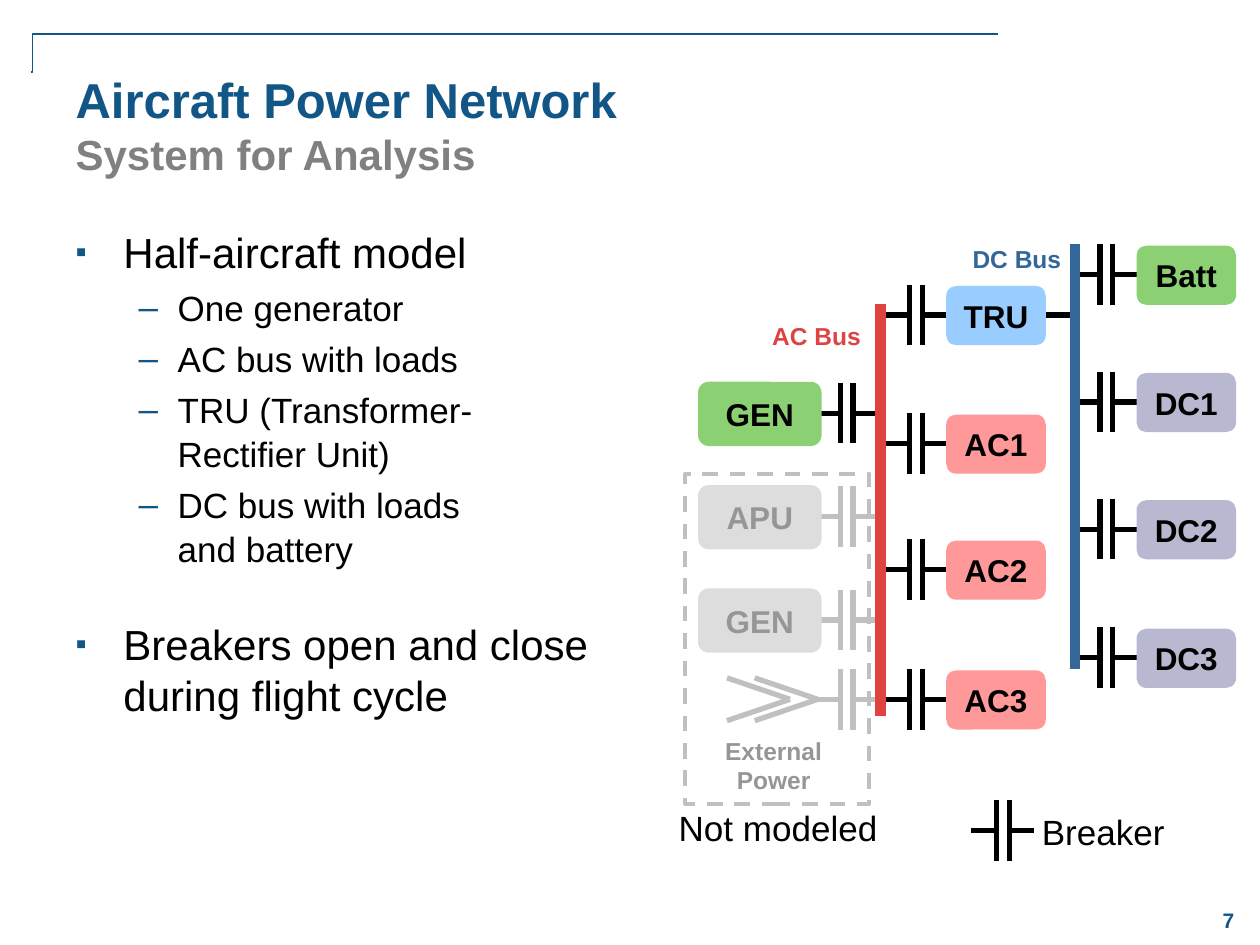
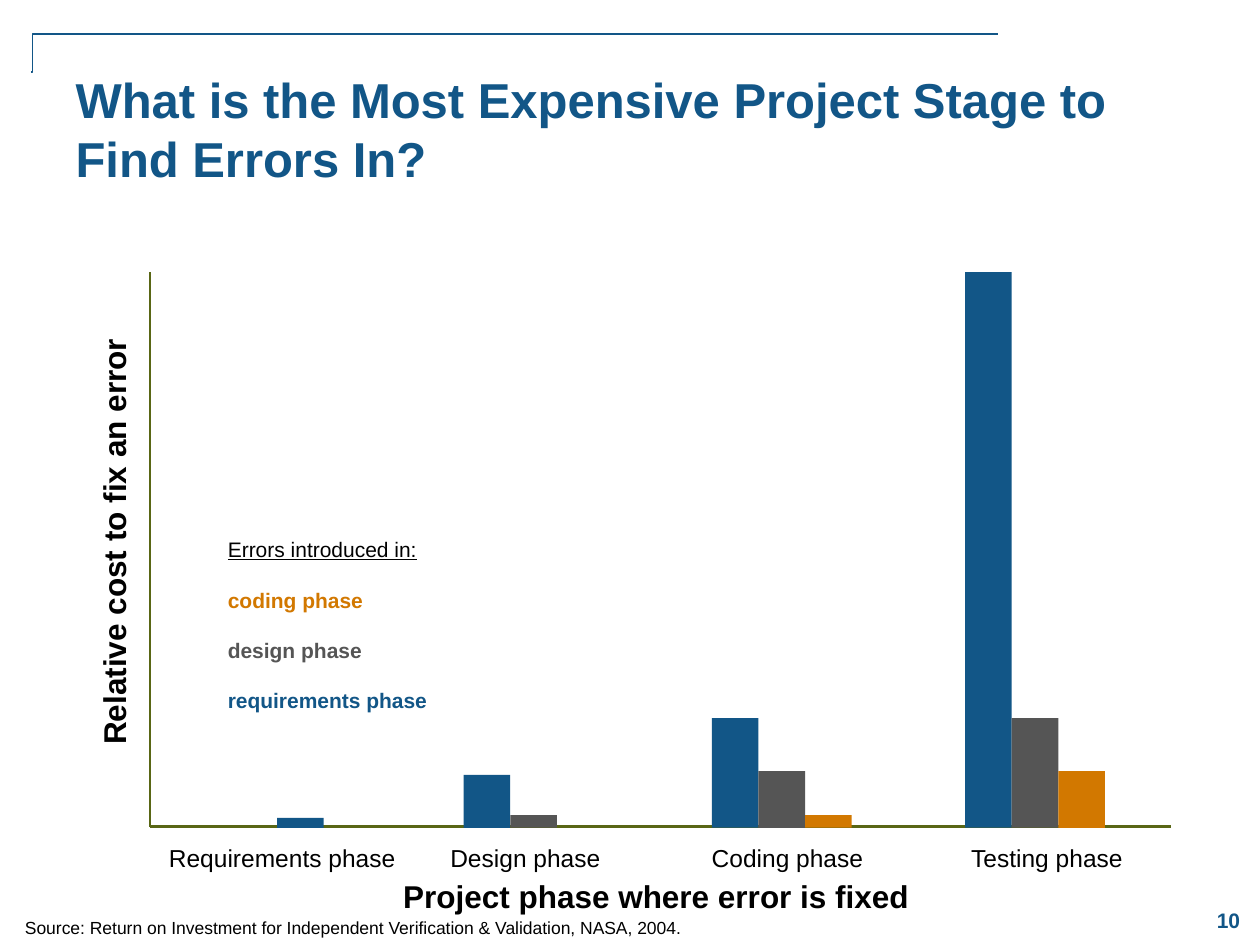
from dataclasses import dataclass

from lxml import etree
from pptx import Presentation
from pptx import util as u
from pptx.dml.color import RGBColor
from pptx.enum import dml, shapes, text
from pptx.oxml.ns import qn

PX = 9144  # 100 px to the inch


@dataclass(frozen=True)
class Theme:
    font: str = "Arial"
    blue: str = "125687"
    black: str = "000000"
    sub: str = "808080"
    wire: str = "C0C0C0"
    pale: str = "DDDDDD"
    dim: str = "969696"
    green: str = "8BD072"
    sky: str = "9ACDFF"
    pink: str = "FF9999"
    mauve: str = "B8B8D0"
    red: str = "E04242"
    navy: str = "336699"
    axis: str = "596615"
    gray: str = "555555"
    amber: str = "D27800"
    title: int = 28
    head: int = 24
    item: int = 20
    block: int = 18
    label: int = 14
    small: int = 12
    note: int = 10


T = Theme()
ALIGN = {"l": text.PP_ALIGN.LEFT, "c": text.PP_ALIGN.CENTER}


def px(*nums):
    return [u.Emu(n * PX) for n in nums]


def rgb(code):
    return RGBColor.from_string(code)


def write(par, words, size=T.item, color=T.black, bold=False, line=False,
          align="l"):
    """Add a run of text to a paragraph; a newline is a line break."""
    par.alignment = ALIGN[align]
    for i, part in enumerate(words.split("\n")):
        if i:
            par.add_line_break()
        run = par.add_run()
        run.text = part
        font = run.font
        font.name, font.size, font.bold = T.font, u.Pt(size), bold
        font.underline = line
        font.color.rgb = rgb(color)


def label(slide, box, words, wrap=False, pad=True, turn=0, mid=False, **fmt):
    """Text box at (left, top, width, height)."""
    shape = slide.shapes.add_textbox(*px(*box))
    shape.rotation = turn
    frame = shape.text_frame
    frame.word_wrap = wrap
    if not pad:
        frame.margin_left = frame.margin_right = 0
        frame.margin_top = frame.margin_bottom = 0
    if mid:
        frame.vertical_anchor = text.MSO_ANCHOR.MIDDLE
    write(frame.paragraphs[0], words, **fmt)


def wire(slide, ends, color=T.black, width=3, kind="STRAIGHT"):
    """Line from (x1, y1) to (x2, y2) without a shadow."""
    line = slide.shapes.add_connector(shapes.MSO_CONNECTOR[kind], *px(*ends))
    line.line.color.rgb = rgb(color)
    line.line.width = u.Pt(width)
    etree.SubElement(line._element.spPr, qn("a:effectLst"))
    return line


def block(slide, box, fill=None, kind="RECTANGLE"):
    shape = slide.shapes.add_shape(shapes.MSO_SHAPE[kind], *px(*box))
    shape.shadow.inherit = False
    shape.line.fill.background()
    if fill:
        shape.fill.solid()
        shape.fill.fore_color.rgb = rgb(fill)
    else:
        shape.fill.background()
    return shape


# Shared frame: corner line, page number, title
def start(deck, layout, page, *heads):
    slide = deck.slides.add_slide(deck.slide_layouts[layout])
    edge = wire(slide, (792, 27, 25, 57), T.blue, 1, "ELBOW")
    guides = edge._element.spPr.find(qn("a:prstGeom")).get_or_add_avLst()
    etree.SubElement(guides, qn("a:gd"), name="adj1", fmla="val 99900")
    label(slide, (950, 709, 50, 42), str(page), wrap=True, mid=True,
          size=T.small, color=T.blue, bold=True, align="c")

    title = slide.shapes.title
    title.left, title.top, title.width, title.height = px(50, 50, 883, 108)
    frame = title.text_frame
    frame.auto_size = text.MSO_AUTO_SIZE.NONE
    frame.vertical_anchor = text.MSO_ANCHOR.TOP
    par = frame.paragraphs[0]
    styles = ((T.title, T.blue), (T.head, T.sub))
    for i, (words, (size, color)) in enumerate(zip(heads, styles)):
        if i:
            par.add_line_break()
        write(par, words, size=size, color=color, bold=True)
    return slide


# Bulleted list
def bullet(par, level):
    mark, left, hang, scale = (("▪", 38, 38, 75), ("–", 81, 31, 100))[level]
    par.level = level
    prop = par._p.get_or_add_pPr()
    prop.set("marL", str(left * PX))
    prop.set("indent", str(-hang * PX))
    tint = etree.SubElement(prop, qn("a:buClr"))
    etree.SubElement(tint, qn("a:srgbClr"), val=T.blue)
    etree.SubElement(prop, qn("a:buSzPct"), val=str(scale * 1000))
    etree.SubElement(prop, qn("a:buFont"), typeface=T.font)
    etree.SubElement(prop, qn("a:buChar"), char=mark)


def outline(slide, box, rows):
    body = slide.placeholders[1]
    body.left, body.top, body.width, body.height = px(*box)
    frame = body.text_frame
    frame.auto_size = text.MSO_AUTO_SIZE.NONE
    for i, (level, before, words) in enumerate(rows):
        par = frame.add_paragraph() if i else frame.paragraphs[0]
        bullet(par, level)
        par.space_before = u.Pt(before)
        par.line_spacing = (1.0, 1.05)[level]
        write(par, words, size=(T.head, T.item)[level])


# Power network parts
def breaker(slide, x, y, color=T.black):
    """Two leads and two plates, from x at the height y."""
    for lead in (x, x + 30):
        wire(slide, (lead, y, lead + 20, y), color)
    for plate in (x + 20, x + 30):
        wire(slide, (plate, y + 24, plate, y - 24), color)


def unit(slide, box, name, fill, color=T.black):
    shape = block(slide, box, fill, "ROUNDED_RECTANGLE")
    frame = shape.text_frame
    frame.margin_left = frame.margin_right = px(4)[0]
    frame.vertical_anchor = text.MSO_ANCHOR.MIDDLE
    write(frame.paragraphs[0], name, size=T.block, color=color, bold=True,
          align="c")


def source(slide, x, y, name, fill, color=T.black, line=T.black):
    breaker(slide, x + 93, y, line)
    unit(slide, (x, y - 25, 98, 51), name, fill, color)


def loads(slide, x, rows):
    """Breakers leaving a bus at x, each with its unit."""
    for y, name, fill in rows:
        breaker(slide, x, y)
        unit(slide, (x + 49, y - 23, 79, 47), name, fill)


def unused(slide, x, y):
    """Dashed region of the parts that are not modeled."""
    for down, name in ((34, "APU"), (116, "GEN")):
        source(slide, x + 10, y + down, name, T.pale, T.dim, T.wire)
    mid = y + 179
    breaker(slide, x + 103, mid, T.wire)
    for left in (x + 33, x + 55):
        for rise in (-17, 17):
            wire(slide, (left, mid + rise, left + 50, mid), T.wire)
    label(slide, (x + 21, y + 203, 98, 57), "External\nPower", size=T.label,
          color=T.dim, bold=True, align="c")
    edge = block(slide, (x, y, 146, 262)).line
    edge.color.rgb = rgb(T.wire)
    edge.width = u.Pt(2.25)
    edge.dash_style = dml.MSO_LINE.DASH
    label(slide, (x - 16, y + 259, 179, 44), "Not modeled", align="c")


def network(slide, x, y):
    unused(slide, x, y + 187)
    source(slide, x + 10, y + 139, "GEN", T.green)
    wire(slide, (x + 274, y + 61, x + 309, y + 61))
    loads(slide, x + 158, [(y + 61, "TRU", T.sky), (y + 163, "AC1", T.pink),
                           (y + 263, "AC2", T.pink), (y + 366, "AC3", T.pink)])
    loads(slide, x + 309, [(y + 29, "Batt", T.green), (y + 130, "DC1", T.mauve),
                           (y + 231, "DC2", T.mauve), (y + 333, "DC3", T.mauve)])
    # Buses
    for name, color, left, top, end, tag in (
            ("AC Bus", T.red, x + 155, y + 52, y + 379, (x + 59, y + 61)),
            ("DC Bus", T.navy, x + 309, y + 5, y + 342, (x + 218, y))):
        wire(slide, (left, end, left, top), color, 6)
        label(slide, (*tag, 91, 34), name, size=T.label, color=color, bold=True)
    # Key
    breaker(slide, x + 227, y + 470)
    label(slide, (x + 273, y + 449, 118, 44), "Breaker")


# Cost graph
PHASES = (  # name, label centre, first bar, heights by phase of origin
    ("Requirements phase", 105, 101, (8,)),
    ("Design phase", 298, 249, (42, 10)),
    ("Coding phase", 506, 446, (87, 45, 10)),
    ("Testing phase", 712, 647, (441, 87, 45)),
)
HUES = (T.blue, T.gray, T.amber)
BAR = 37


def graph(slide, x, y, wide, high):
    """Axes with their corner at the lower left of the box, and bars."""
    base = y + high
    wire(slide, (x, y, x, base), T.axis, 1.5)
    wire(slide, (x, base, x + wide, base), T.axis, 1.5)
    for name, mid, left, tall in PHASES:
        label(slide, (x + mid - 90, base + 13, 180, 24), name, pad=False,
              size=T.label, align="c")
        for i, (rise, hue) in enumerate(zip(tall, HUES)):
            block(slide, (x + left + i * BAR, base + 1 - rise, BAR, rise), hue)
    bold = dict(pad=False, size=T.block, bold=True)
    label(slide, (x - 195, y + 199, 332, 30), "Relative cost to fix an error",
          turn=270, align="c", **bold)
    label(slide, (x + 201, base + 40, 405, 27),
          "Project phase where error is fixed", **bold)


def legend(slide, x, y):
    rows = (("Errors introduced in:", T.black), ("coding phase", T.amber),
            ("design phase", T.gray), ("requirements phase", T.blue))
    for i, (words, color) in enumerate(rows):
        label(slide, (x, y + i * 40, 280, 28), words, wrap=True, size=T.small,
              color=color, bold=i > 0, line=i == 0)


def main():
    deck = Presentation()
    deck.slide_width, deck.slide_height = px(1000, 750)

    slide = start(deck, 1, 7, "Aircraft Power Network", "System for Analysis")
    outline(slide, (50, 175, 883, 508), [
        (0, 0, "Half-aircraft model"),
        (1, 4, "One generator"),
        (1, 4, "AC bus with loads"),
        (1, 4, "TRU (Transformer-\nRectifier Unit)"),
        (1, 4, "DC bus with loads\nand battery"),
        (0, 28, "Breakers open and close\nduring flight cycle"),
    ])
    network(slide, 544, 189)

    slide = start(deck, 5, 10,
                  "What is the Most Expensive Project Stage to Find Errors In?")
    graph(slide, 119, 216, 810, 440)
    legend(slide, 171, 421)
    label(slide, (10, 723, 573, 27),
          "Source: Return on Investment for Independent Verification & "
          "Validation, NASA, 2004.", wrap=True, size=T.note)
    deck.save("out.pptx")


if __name__ == "__main__":
    main()
